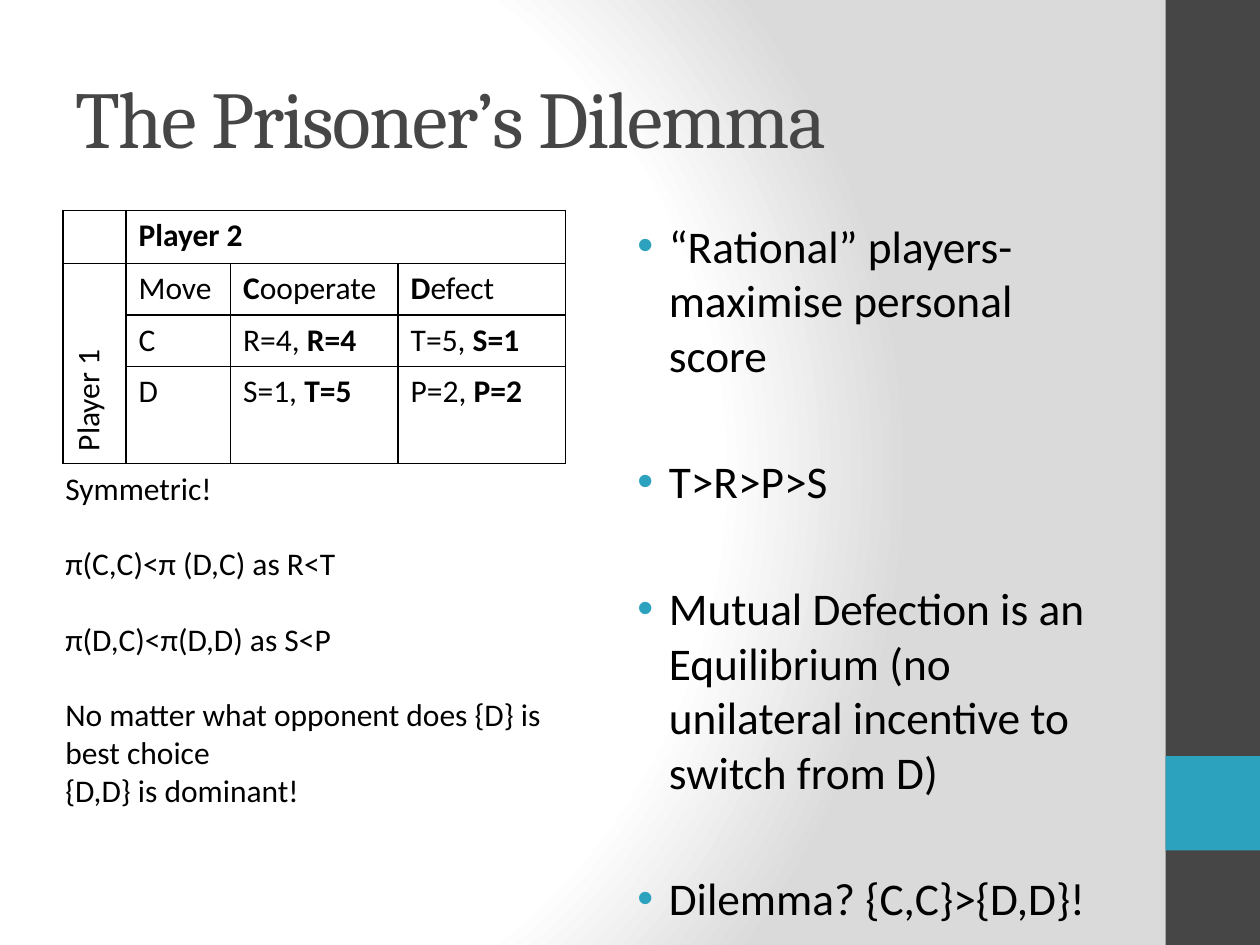
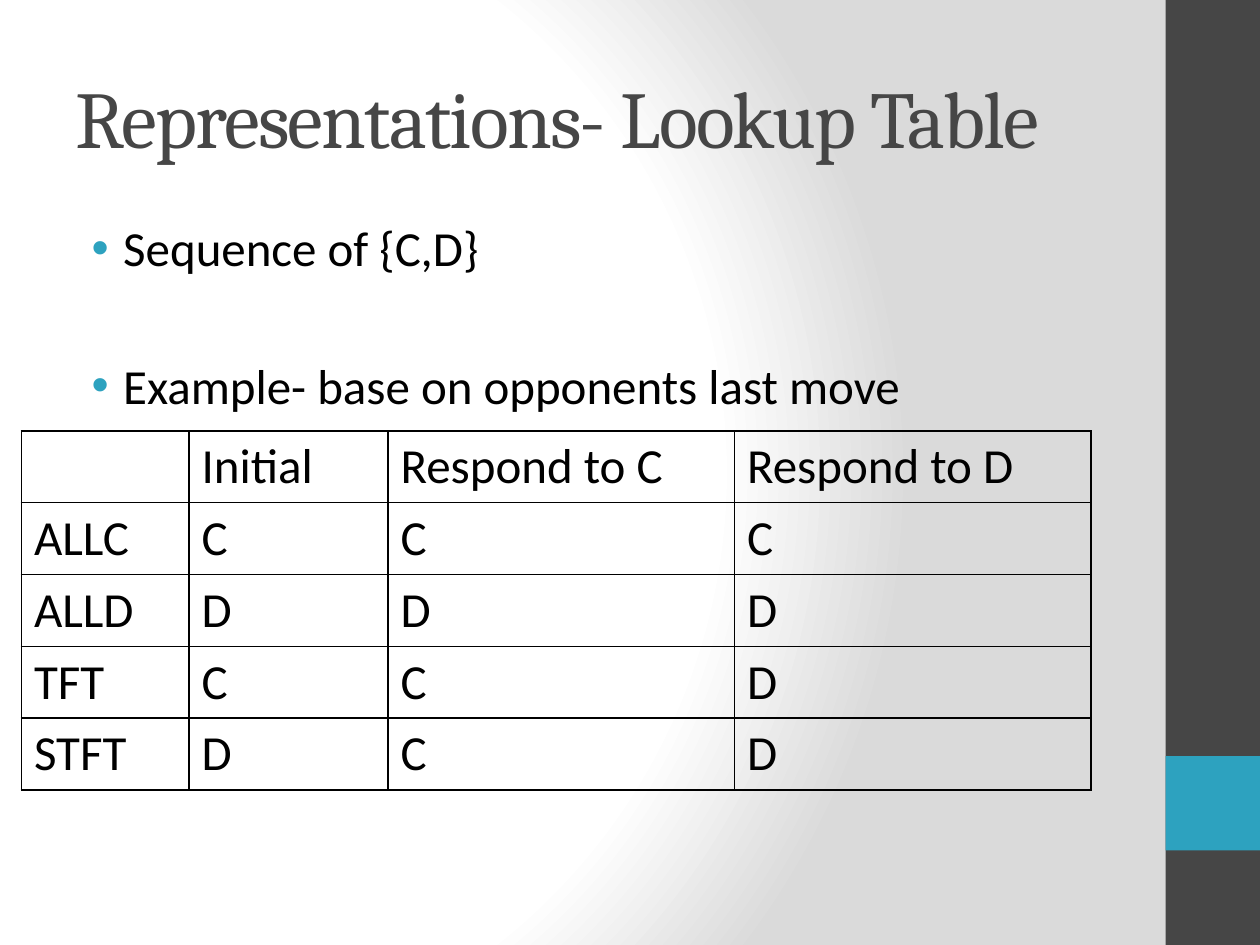
from lxml import etree
from pptx import Presentation
from pptx.dml.color import RGBColor
from pptx.enum.shapes import MSO_SHAPE
from pptx.enum.text import MSO_ANCHOR, MSO_AUTO_SIZE, PP_ALIGN
from pptx.oxml import parse_xml
from pptx.oxml.ns import nsdecls, qn
from pptx.util import Inches, Pt

RECTANGLE = MSO_SHAPE.RECTANGLE
MIDDLE, TOP = MSO_ANCHOR.MIDDLE, MSO_ANCHOR.TOP
NO_AUTOFIT = MSO_AUTO_SIZE.NONE
LEFT = PP_ALIGN.LEFT

CHARCOAL = RGBColor(0x46, 0x46, 0x46)
TEAL = RGBColor(0x2D, 0xA2, 0xBF)
BLACK = RGBColor(0, 0, 0)
WHITE = RGBColor(0xFF, 0xFF, 0xFF)
SILVER = RGBColor(0xDA, 0xDA, 0xDA)
TITLE_FONT, BODY_FONT = "Cambria", "Calibri"
TITLE_ONLY = 5
LINE_HEIGHT = 1.2
BULLET_GAP = 0.2


def set_background(master):
    """Give every slide the radial white to silver gradient."""
    stops = "".join(
        f'<a:gs pos="{position}"><a:srgbClr val="{color}"/></a:gs>'
        for position, color in ((0, WHITE), (75000, WHITE), (100000, SILVER))
    )
    background = parse_xml(
        f'<p:bg {nsdecls("p", "a")}><p:bgPr><a:gradFill rotWithShape="1">'
        f'<a:gsLst>{stops}</a:gsLst><a:path path="circle">'
        '<a:fillToRect l="20000" t="50000" r="100000" b="50000"/></a:path>'
        "</a:gradFill><a:effectLst/></p:bgPr></p:bg>"
    )
    common = master.element.find(qn("p:cSld"))
    for previous in common.findall(qn("p:bg")):
        common.remove(previous)
    common.insert(0, background)


def add_band(slide, top, height, color):
    """Draw one flat block of the right-hand band."""
    band = slide.shapes.add_shape(
        RECTANGLE, Inches(9.25), Inches(top), Inches(0.75), Inches(height)
    )
    band.shadow.inherit = False
    band.fill.solid()
    band.fill.fore_color.rgb = color
    band.line.fill.background()


def add_run(paragraph, text, size, font=BODY_FONT, color=BLACK, bold=False):
    """Append one formatted run and return it."""
    run = paragraph.add_run()
    run.text = text
    run.font.name = font
    run.font.size = Pt(size)
    run.font.bold = bold
    run.font.color.rgb = color
    return run


def add_titled_slide(deck, heading):
    """Add a slide with the side band and a styled title."""
    slide = deck.slides.add_slide(deck.slide_layouts[TITLE_ONLY])
    add_band(slide, 0, 7.5, CHARCOAL)
    add_band(slide, 6, 0.75, TEAL)
    title = slide.shapes.title
    title.left, title.top = Inches(0.5), Inches(0.3)
    title.width, title.height = Inches(8.33), Inches(1.25)
    frame = title.text_frame
    frame.auto_size = NO_AUTOFIT
    frame.vertical_anchor = MIDDLE
    paragraph = frame.paragraphs[0]
    paragraph.alignment = LEFT
    run = add_run(paragraph, heading, 46, TITLE_FONT, CHARCOAL)
    run.font._element.set("spc", "-100")
    return slide


def add_text(slide, box, lines, size):
    """Add a wrapped text box of (text, space before) and return its paragraphs."""
    frame = slide.shapes.add_textbox(*map(Inches, box)).text_frame
    frame.word_wrap = True
    frame.vertical_anchor = TOP
    for index, (text, space) in enumerate(lines):
        paragraph = frame.add_paragraph() if index else frame.paragraphs[0]
        paragraph.space_before = Pt(space)
        add_run(paragraph, text, size)
    return frame.paragraphs


def add_bullets(slide, box, points, size):
    """Add teal-bulleted points set one line apart."""
    gap = BULLET_GAP * size
    apart = round(2 * gap + LINE_HEIGHT * size, 1)
    lines = [(text, apart if index else gap) for index, text in enumerate(points)]
    for paragraph in add_text(slide, box, lines, size):
        properties = paragraph._p.get_or_add_pPr()
        properties.set("marL", str(Inches(0.38)))
        properties.set("indent", str(Inches(-0.25)))
        color = etree.SubElement(properties, qn("a:buClr"))
        etree.SubElement(color, qn("a:srgbClr"), val=str(TEAL))
        etree.SubElement(properties, qn("a:buFont"), typeface="Arial")
        etree.SubElement(properties, qn("a:buChar"), char="•")


def outline_cell(cell):
    """Leave a cell unfilled with a thin black line on each side."""
    cell.fill.background()
    properties = cell._tc.get_or_add_tcPr()
    for index, side in enumerate(("lnL", "lnR", "lnT", "lnB")):
        border = parse_xml(
            f'<a:{side} {nsdecls("a")} w="{Pt(1)}"><a:solidFill>'
            f'<a:srgbClr val="{BLACK}"/></a:solidFill></a:{side}>'
        )
        properties.insert(index, border)


def add_grid(slide, left, top, widths, heights, rows, size):
    """Add an outlined table; each cell is a string or a list of (text, bold)."""
    grid = slide.shapes.add_table(
        len(heights), len(widths), Inches(left), Inches(top),
        Inches(sum(widths)), Inches(sum(heights)),
    ).table
    grid.first_row = grid.horz_banding = False
    for column, width in zip(grid.columns, widths):
        column.width = Inches(width)
    for row, height, contents in zip(grid.rows, heights, rows):
        row.height = Inches(height)
        for cell, content in zip(row.cells, contents):
            outline_cell(cell)
            pieces = [(content, False)] if isinstance(content, str) else content
            for text, bold in pieces:
                if text:
                    add_run(cell.text_frame.paragraphs[0], text, size, bold=bold)
    return grid


def payoff(own, other):
    """Return the runs of a payoff pair, the second player's in bold."""
    return [(f"{own}, ", False), (other, True)]


def build_dilemma(deck):
    """Build the slide on the payoff matrix and its equilibrium."""
    slide = add_titled_slide(deck, "The Prisoner’s Dilemma")
    rows = [
        ["", [("Player 2", True)], "", ""],
        ["Player 1", "Move", [("C", True), ("ooperate", False)],
         [("D", True), ("efect", False)]],
        ["", "C", payoff("R=4", "R=4"), payoff("T=5", "S=1")],
        ["", "D", payoff("S=1", "T=5"), payoff("P=2", "P=2")],
    ]
    matrix = add_grid(slide, 0.5, 1.67, [0.5, 0.83, 1.33, 1.33],
                      [0.42, 0.41, 0.41, 0.77], rows, 18)
    matrix.cell(0, 1).merge(matrix.cell(0, 3))
    player_one = matrix.cell(1, 0)
    player_one.merge(matrix.cell(3, 0))
    player_one._tc.get_or_add_tcPr().set("vert", "vert270")
    add_bullets(slide, (4.83, 1.68, 4, 5.02), [
        "“Rational” players- maximise personal score",
        "T>R>P>S",
        "Mutual Defection is an Equilibrium (no unilateral incentive to switch from D)",
        "Dilemma? {C,C}>{D,D}!",
    ], 25.9)
    line = 18 * LINE_HEIGHT
    add_text(slide, (0.42, 3.67, 4.25, 2.83), [
        ("Symmetric!", 0),
        ("π(C,C)<π (D,C) as R<T", line),
        ("π(D,C)<π(D,D) as S<P", line),
        ("No matter what opponent does {D} is best choice", line),
        ("{D,D} is dominant!", 0),
    ], 18)


def build_lookup(deck):
    """Build the slide on strategies as lookup tables."""
    slide = add_titled_slide(deck, "Representations- Lookup Table")
    add_bullets(slide, (0.5, 1.68, 8.17, 5.02), [
        "Sequence of {C,D}",
        "Example- base on opponents last move",
    ], 28)
    strategies = {"ALLC": "CCC", "ALLD": "DDD", "TFT": "CCD", "STFT": "DCD"}
    rows = [["", "Initial", "Respond to C", "Respond to D"]]
    rows += [[name, *moves] for name, moves in strategies.items()]
    add_grid(slide, 0.17, 3.42, [1.33, 1.58, 2.75, 2.83],
             [0.57] * len(rows), rows, 28)


def main():
    """Build and save the presentation."""
    deck = Presentation()
    deck.slide_width, deck.slide_height = Inches(10), Inches(7.5)
    set_background(deck.slide_master)
    build_dilemma(deck)
    build_lookup(deck)
    deck.save("out.pptx")


if __name__ == "__main__":
    main()
